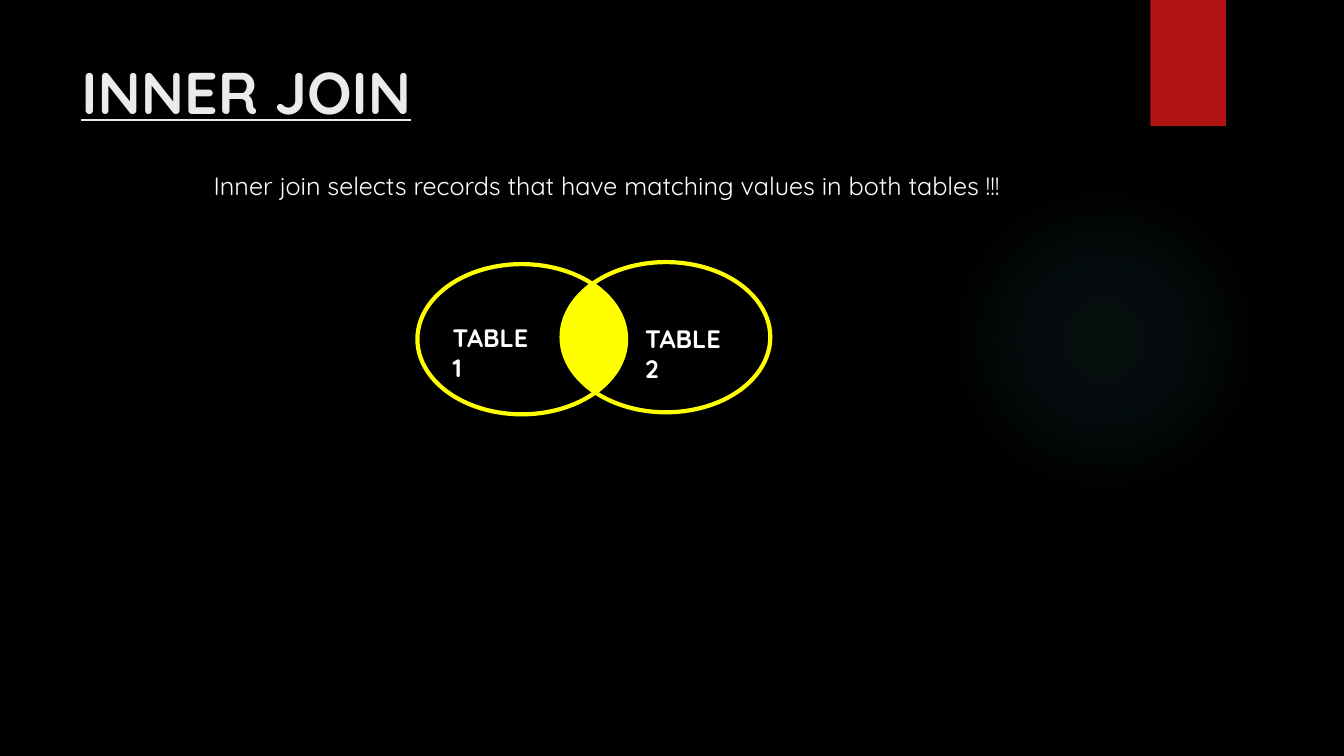
import math

from lxml import etree
from pptx import Presentation
from pptx.dml.color import RGBColor
from pptx.enum import shapes, text
from pptx.oxml import ns
from pptx.util import Inches, Pt

COLORS = {
    "background": "000000",
    "glow": "50B9C1",
    "ribbon": "B01513",
    "title": "EBEBEB",
    "body": "FFFFFF",
    "venn": "FFFF00",
}
FONT = "Quicksand"


def color(name):
    return RGBColor.from_string(COLORS[name])


def add_text(slide, content, left, top, width, height, size=18, fill="body", bold=False, underline=False):
    box = slide.shapes.add_textbox(Inches(left), Inches(top), Inches(width), Inches(height))
    frame = box.text_frame
    frame.word_wrap = True
    frame.vertical_anchor = text.MSO_ANCHOR.TOP
    run = frame.paragraphs[0].add_run()
    run.text = content
    run.font.name = FONT
    run.font.size = Pt(size)
    run.font.bold = bold
    run.font.underline = underline
    run.font.color.rgb = color(fill)


presentation = Presentation()
presentation.slide_width = Inches(13.33)
presentation.slide_height = Inches(7.5)
slide = presentation.slides.add_slide(presentation.slide_layouts[6])
slide.background.fill.solid()
slide.background.fill.fore_color.rgb = color("background")

# Soft round glow on the right
glow = slide.shapes.add_shape(
    shapes.MSO_SHAPE.OVAL, Inches(9.41), Inches(1.83), Inches(3.08), Inches(3.08))
glow.shadow.inherit = False
glow.line.fill.background()
stops = "".join(
    f'<a:gs pos="{position * 1000}"><a:srgbClr val="{COLORS["glow"]}">'
    f'<a:alpha val="{alpha * 1000}"/></a:srgbClr></a:gs>'
    for position, alpha in [(0, 7), (36, 6), (69, 0)])
gradient = etree.fromstring(
    f'<a:gradFill xmlns:a="{ns.namespaces("a")["a"]}"><a:gsLst>{stops}</a:gsLst>'
    '<a:path path="circle"><a:fillToRect l="50000" t="50000" r="50000" b="50000"/></a:path>'
    '</a:gradFill>')
glow.element.spPr.find(ns.qn("a:prstGeom")).addnext(gradient)

ribbon = slide.shapes.add_shape(
    shapes.MSO_SHAPE.RECTANGLE, Inches(11.41), 0, Inches(0.75), Inches(1.25))
ribbon.shadow.inherit = False
ribbon.fill.solid()
ribbon.fill.fore_color.rgb = color("ribbon")
ribbon.line.fill.background()

add_text(slide, "INNER JOIN", 0.71, 0.5, 10.29, 1.53,
         size=42, fill="title", bold=True, underline=True)
add_text(slide, "Inner join selects records that have matching values in both tables !!!",
         2.02, 1.64, 8.58, 0.4)

# Venn diagram: two ellipses and their overlap
ELLIPSE_WIDTH, ELLIPSE_HEIGHT = 2.07, 1.49
ellipses = [(4.14, 2.62), (5.57, 2.6)]
for left, top in ellipses:
    ellipse = slide.shapes.add_shape(
        shapes.MSO_SHAPE.OVAL, Inches(left), Inches(top),
        Inches(ELLIPSE_WIDTH), Inches(ELLIPSE_HEIGHT))
    ellipse.shadow.inherit = False
    ellipse.fill.background()
    ellipse.line.color.rgb = color("venn")
    ellipse.line.width = Pt(3)

radius_x, radius_y = ELLIPSE_WIDTH / 2, ELLIPSE_HEIGHT / 2
half_angle = math.acos((ellipses[1][0] - ellipses[0][0]) / ELLIPSE_WIDTH)
STEPS = 24
outline = []
for (left, top), start in zip(ellipses, (0, math.pi)):
    for step in range(STEPS + 1):
        angle = start + half_angle * (2 * step / STEPS - 1)
        outline.append((Inches(left + radius_x * (1 + math.cos(angle))),
                        Inches(top + radius_y * (1 + math.sin(angle)))))
builder = slide.shapes.build_freeform(*outline[0])
builder.add_line_segments(outline[1:], close=True)
overlap = builder.convert_to_shape()
overlap.shadow.inherit = False
overlap.fill.solid()
overlap.fill.fore_color.rgb = color("venn")
overlap.line.color.rgb = color("venn")
overlap.line.width = Pt(1.5)

for label, left, top in [("TABLE 1", 4.39, 3.15), ("TABLE 2", 6.3, 3.16)]:
    add_text(slide, label, left, top, 1, 0.4, bold=True)

presentation.save("out.pptx")
